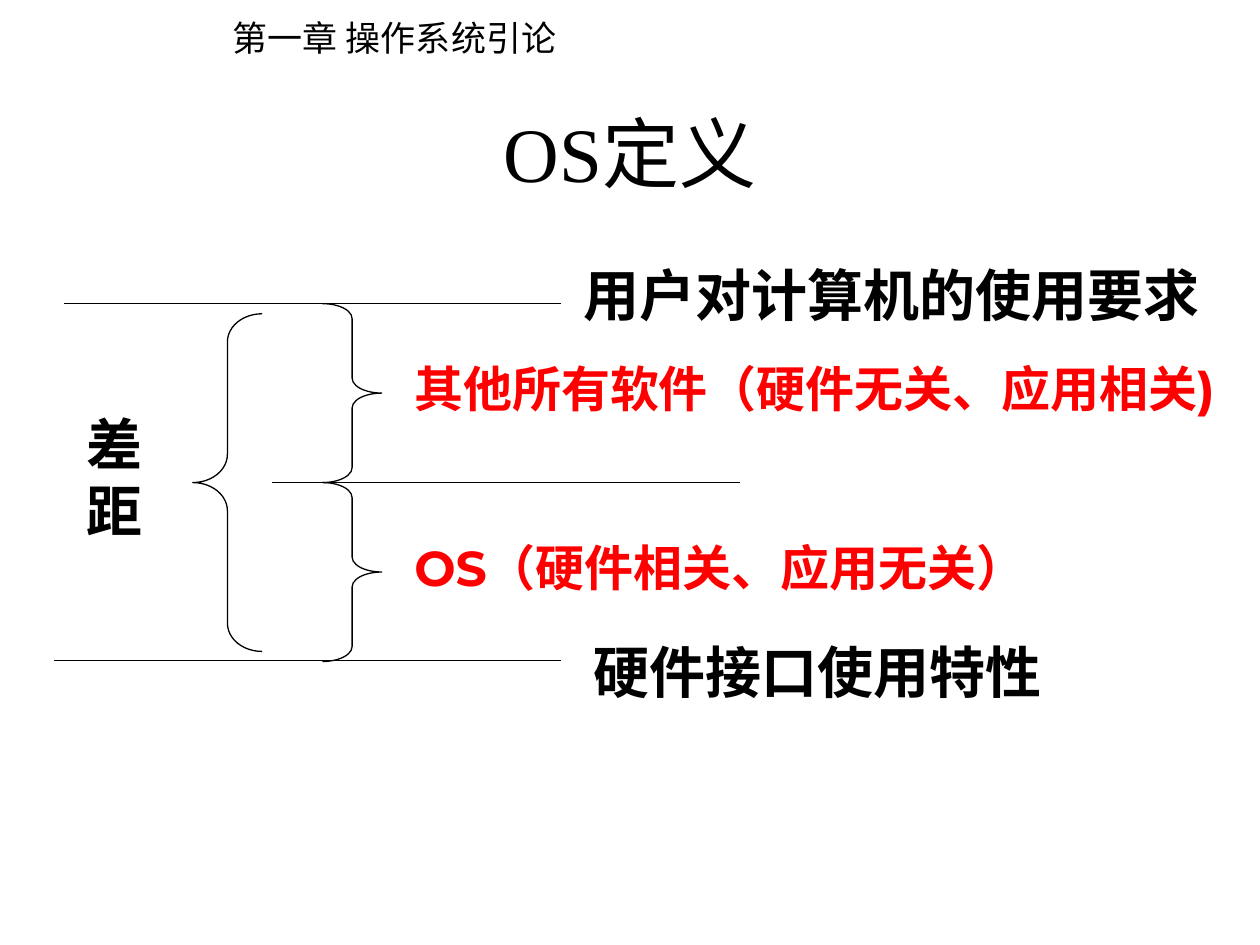
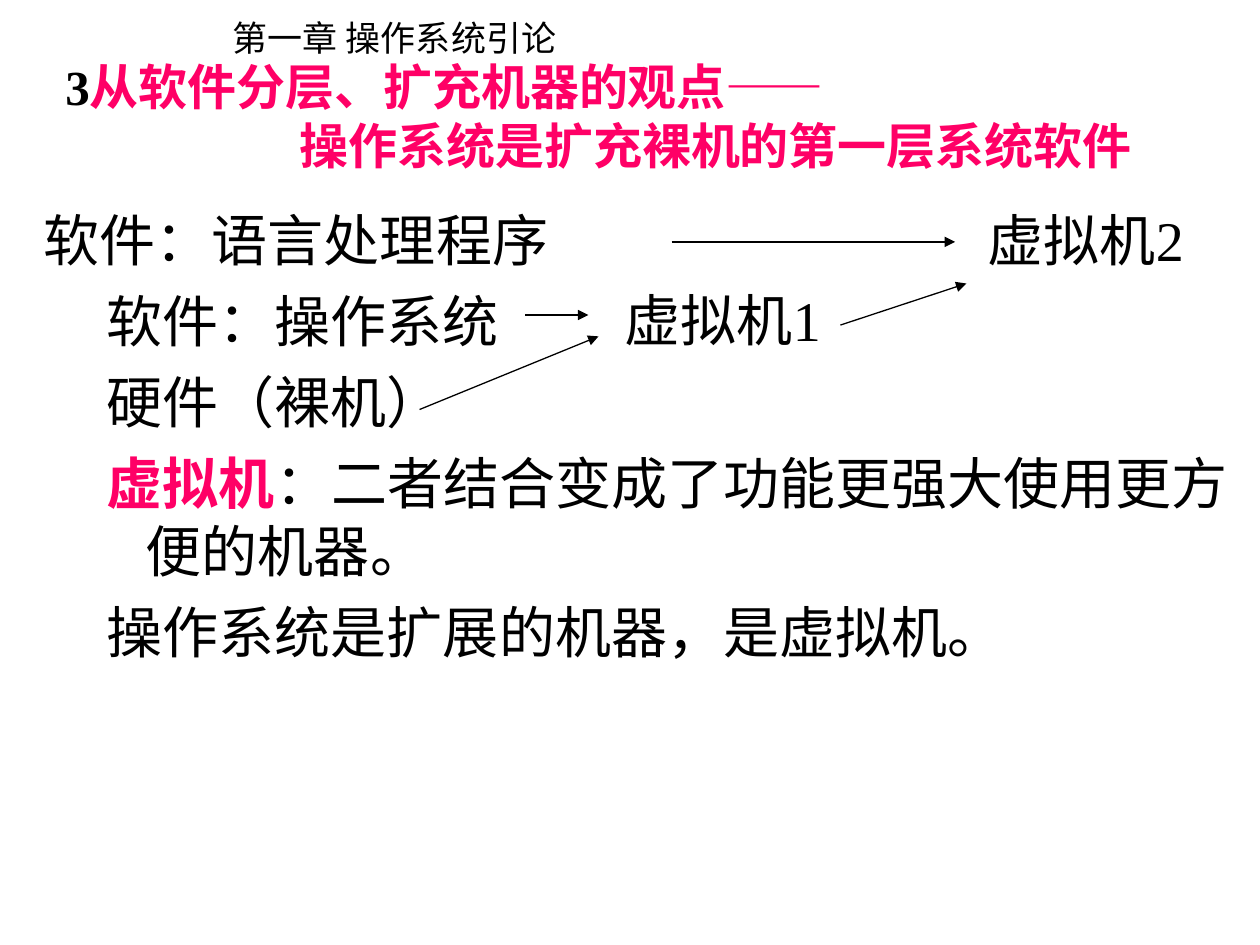
from lxml import etree
from pptx import Presentation
from pptx.dml.color import RGBColor
from pptx.enum import shapes, text
from pptx.oxml import ns
from pptx.util import Inches, Pt

BLACK = RGBColor(0x00, 0x00, 0x00)
RED = RGBColor(0xFF, 0x00, 0x00)
PINK = RGBColor(0xFF, 0x00, 0x66)
SERIF = "Times New Roman"
SANS = "Montserrat"
CJK = "Noto Sans CJK SC"
LINE_WIDTH = Pt(0.75)


# Text
def add_box(slide, left, top, width, height, anchor=text.MSO_ANCHOR.TOP):
    box = slide.shapes.add_textbox(
        Inches(left), Inches(top), Inches(width), Inches(height))
    frame = box.text_frame
    frame.word_wrap = True
    frame.vertical_anchor = anchor
    return frame


def write(paragraph, runs, font, size, bold=False, margin=0, hanging=0):
    """Fill a paragraph with (wording, colour[, bold]) runs."""
    properties = paragraph._p.get_or_add_pPr()
    properties.set("marL", str(Inches(margin)))
    properties.set("indent", str(-Inches(hanging)))
    paragraph.font.name = font
    paragraph.font.size = Pt(size)
    paragraph.font.bold = bold
    for wording, colour, *run_bold in runs:
        run = paragraph.add_run()
        run.text = wording
        run.font.color.rgb = colour
        if run_bold:
            run.font.bold = run_bold[0]


def add_label(slide, wording, left, top, width, height, size,
              colour=BLACK, font=SANS, bold=True):
    frame = add_box(slide, left, top, width, height)
    write(frame.paragraphs[0], [(wording, colour)], font, size, bold)


def add_chapter_header(slide):
    add_label(slide, "第一章 操作系统引论", 1.75, 0.08, 2.83, 0.44, 20,
              font=CJK, bold=False)


# Lines and braces
def add_line(slide, start, end, arrow=False):
    line = slide.shapes.add_connector(
        shapes.MSO_CONNECTOR.STRAIGHT, *map(Inches, start + end))
    line.line.color.rgb = BLACK
    line.line.width = LINE_WIDTH
    if arrow:
        etree.SubElement(line.line._get_or_add_ln(), ns.qn("a:tailEnd"),
                         type="triangle")
    etree.SubElement(line._element.spPr, ns.qn("a:effectLst"))


def add_brace(slide, preset, left, top, width, height):
    brace = slide.shapes.add_shape(
        preset, Inches(left), Inches(top), Inches(width), Inches(height))
    brace.adjustments[0] = height / 12 / width  # curl is 1/12 of the height
    brace.shadow.inherit = False
    brace.fill.background()
    brace.line.color.rgb = BLACK
    brace.line.width = LINE_WIDTH


# Slides
def build_definition(slide):
    add_chapter_header(slide)
    title = add_box(slide, 0.75, 0.58, 8.5, 1.25, text.MSO_ANCHOR.MIDDLE)
    write(title.paragraphs[0], [("OS定义", BLACK)], SERIF, 44)
    title.paragraphs[0].alignment = text.PP_ALIGN.CENTER

    # Boundaries between user, software and hardware
    user, middle, hardware = 2.41, 3.83, 5.24
    for level, left, right in ((user, 0.51, 4.45), (middle, 2.16, 5.87),
                               (hardware, 0.43, 4.45)):
        add_line(slide, (left, level), (right, level))
    add_label(slide, "用户对计算机的使用要求", 4.53, 2.02, 5.28, 0.64, 32)
    add_label(slide, "硬件接口使用特性", 4.61, 5.01, 4.02, 0.64, 32)

    # The gap and the two layers that fill it
    add_brace(slide, shapes.MSO_SHAPE.LEFT_BRACE, 1.53, 2.49, 0.55, 2.68)
    add_label(slide, "差距", 0.59, 3.2, 0.63, 1.17, 32)
    for level, layer, width in ((user, "其他所有软件（硬件无关、应用相关)", 6.61),
                                (middle, "OS（硬件相关、应用无关）", 5.12)):
        add_brace(slide, shapes.MSO_SHAPE.RIGHT_BRACE, 2.56, level, 0.47, 1.42)
        add_label(slide, layer, 3.19, level + 0.39, width, 1.04, 28, RED)


def build_virtual_machine(slide):
    add_chapter_header(slide)
    title = add_box(slide, 0.42, 0.33, 9.17, 1.17, text.MSO_ANCHOR.MIDDLE)
    write(title.paragraphs[0],
          [("3", BLACK), ("从软件分层、扩充机器的观点――", PINK)],
          SERIF, 28, bold=True)
    write(title.add_paragraph(), [("操作系统是扩充裸机的第一层系统软件", PINK)],
          SERIF, 28, bold=True, margin=1.86)

    # Layers and the definition of a virtual machine
    body_top, line_pitch = 1.58, 0.64
    body = add_box(slide, 0.25, body_top, 9.75, 5.5)
    lines = (
        ([("软件：语言处理程序", BLACK)], 0, 0),
        ([("软件：操作系统", BLACK)], 0.5, 0),
        ([("硬件（裸机）", BLACK)], 0.5, 0),
        ([("虚拟机", PINK, True),
          ("：二者结合变成了功能更强大使用更方便的机器。", BLACK)], 0.81, 0.31),
        ([("操作系统是扩展的机器，是虚拟机。", BLACK)], 0.5, 0),
    )
    for index, (runs, margin, hanging) in enumerate(lines):
        paragraph = body.add_paragraph() if index else body.paragraphs[0]
        write(paragraph, runs, SERIF, 32, margin=margin, hanging=hanging)
        if index:
            paragraph.space_before = Pt(8)

    # Machines that the layers yield, level with the first two lines
    for row, (machine, left) in enumerate((("虚拟机2", 7.74), ("虚拟机1", 4.86))):
        add_label(slide, machine, left, body_top + row * line_pitch, 2, 0.64, 32,
                  font=SERIF, bold=False)

    for start, end in (((3.33, 3.25), (4.75, 2.67)), ((4.17, 2.5), (4.67, 2.5)),
                       ((6.67, 2.58), (7.67, 2.25)), ((5.33, 1.92), (7.58, 1.92))):
        add_line(slide, start, end, arrow=True)


def main():
    deck = Presentation()
    deck.slide_width, deck.slide_height = Inches(10), Inches(7.5)
    blank = deck.slide_layouts[6]
    for build in (build_definition, build_virtual_machine):
        build(deck.slides.add_slide(blank))
    deck.save("out.pptx")


if __name__ == "__main__":
    main()
